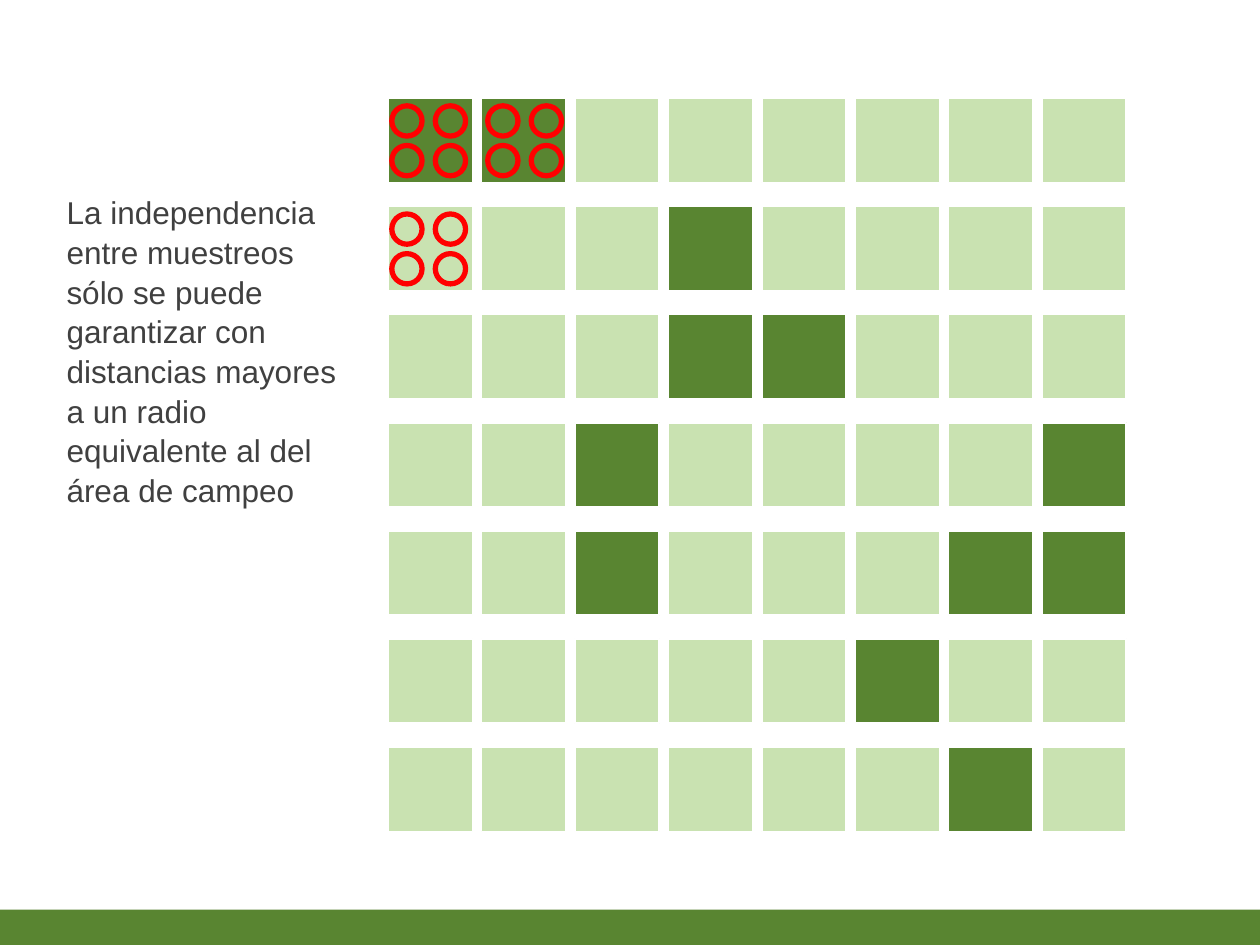
from itertools import product

from pptx import Presentation
from pptx import util as u
from pptx.dml.color import RGBColor
from pptx.enum import shapes, text

COLORS = {
    "habitat": "598531",
    "matrix": "C9E2B1",
    "sample": "FF0000",
    "body": "404040",
    "white": "FFFFFF",
}
HABITAT_MAP = [
    "##......",
    "...#....",
    "...##...",
    "..#....#",
    "..#...##",
    ".....#..",
    "......#.",
]
CELL = 0.67
SAMPLED_CELLS = {(0, 0): 0.03, (0, 1): 0.05, (1, 0): 0.03}


def rgb(key):
    return RGBColor.from_string(COLORS[key])


def add_figure(parent, kind, box, fill=None, line=None, width=1):
    figure = parent.add_shape(kind, *map(u.Inches, box))
    figure.shadow.inherit = False
    if fill:
        figure.fill.solid()
        figure.fill.fore_color.rgb = rgb(fill)
    else:
        figure.fill.background()
    if line:
        figure.line.color.rgb = rgb(line)
        figure.line.width = u.Pt(width)
    else:
        figure.line.fill.background()


def add_footer(slide, box):
    add_figure(slide.shapes, shapes.MSO_SHAPE.RECTANGLE, box, "habitat")


def add_sampling_points(slide, box):
    left, top, size = box
    diameter, column_step, row_step = 0.24, 0.345, 0.315
    for row, column in product(range(2), repeat=2):
        point = (left + column * column_step, top + row * row_step, diameter, diameter)
        add_figure(slide.shapes, shapes.MSO_SHAPE.OVAL, point, line="sample", width=3)


def add_landscape(slide, box):
    left, top, width, height = box
    column_step = (width - CELL) / (len(HABITAT_MAP[0]) - 1)
    row_step = (height - CELL) / (len(HABITAT_MAP) - 1)
    landscape = slide.shapes.add_group_shape()
    for row, cells in enumerate(HABITAT_MAP):
        for column, cell in enumerate(cells):
            place = (left + column * column_step, top + row * row_step, CELL, CELL)
            cover = "habitat" if cell == "#" else "matrix"
            add_figure(landscape.shapes, shapes.MSO_SHAPE.RECTANGLE, place, cover, "white")
    for (row, column), inset in SAMPLED_CELLS.items():
        corner = (left + column * column_step + inset, top + row * row_step + 0.06, CELL)
        add_sampling_points(slide, corner)


def add_statement(slide, box):
    frame = slide.shapes.add_textbox(*map(u.Inches, box)).text_frame
    frame.word_wrap = True
    frame.auto_size = text.MSO_AUTO_SIZE.SHAPE_TO_FIT_TEXT
    statement = frame.paragraphs[0]
    statement.line_spacing = 1.05
    run = statement.add_run()
    run.text = (
        "La independencia entre muestreos sólo se puede garantizar con "
        "distancias mayores a un radio equivalente al del área de campeo"
    )
    run.font.name = "Arial"
    run.font.size = u.Pt(18)
    run.font.color.rgb = rgb("body")


def main():
    deck = Presentation()
    deck.slide_width, deck.slide_height = u.Inches(10), u.Inches(7.5)
    slide = deck.slides.add_slide(deck.slide_layouts[6])
    add_footer(slide, (0, 7.22, 10, 0.28))
    add_landscape(slide, (3.08, 0.78, 5.86, 5.82))
    add_statement(slide, (0.43, 1.47, 2.44, 2.83))
    deck.save("out.pptx")


if __name__ == "__main__":
    main()
